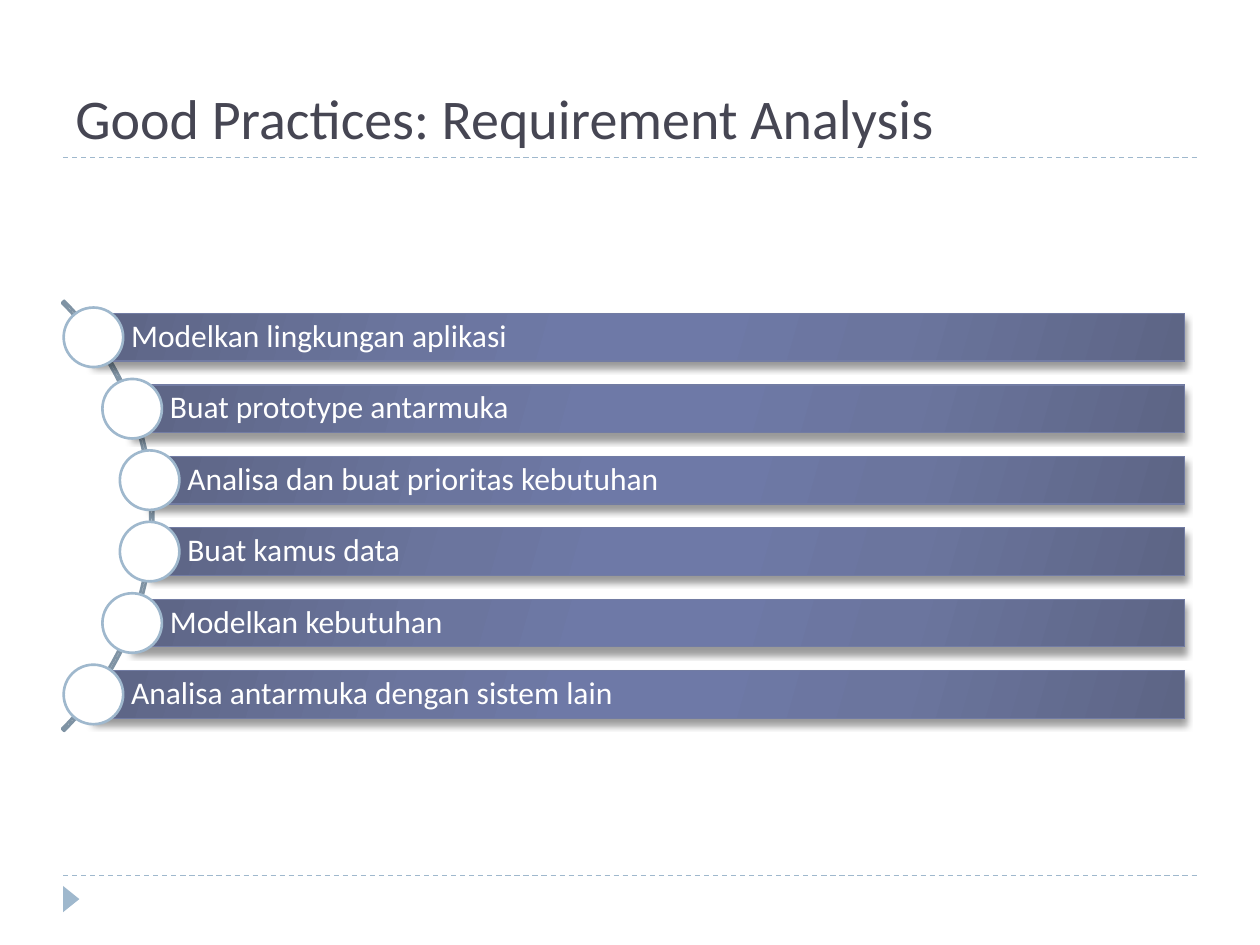
from math import sqrt
from lxml.etree import SubElement
from pptx import Presentation
from pptx.dml.color import RGBColor as Rgb
from pptx.enum.dml import MSO_LINE as Dash
from pptx.enum.shapes import MSO_CONNECTOR as Link, MSO_SHAPE as Kind
from pptx.enum.text import MSO_ANCHOR as Anchor, PP_ALIGN as Align
from pptx.oxml.ns import qn
from pptx.util import Cm, Pt

COLORS = {
    "title": "464653", "text": "FFFFFF", "rule": "9FB8CD", "arc": "7F93A4",
    "edge": "727CA3", "dark": "5D6585", "mid": "6B759E", "light": "6E79A7",
    "shade": "000000",
}
STOPS = [(0, "dark"), (30, "mid"), (45, "light"),
         (55, "light"), (73, "mid"), (100, "dark")]
ITEMS = [
    "Modelkan lingkungan aplikasi",
    "Buat prototype antarmuka",
    "Analisa dan buat prioritas kebutuhan",
    "Buat kamus data",
    "Modelkan kebutuhan",
    "Analisa antarmuka dengan sistem lain",
]


def color(name):
    return Rgb.from_string(COLORS[name])


def node(parent, tag, **attrs):
    return SubElement(parent, qn(tag), {k: str(v) for k, v in attrs.items()})


class Deck:
    font = "Calibri"

    def __init__(self, prs):
        self.slide = prs.slides.add_slide(prs.slide_layouts[6])
        self.shapes = self.slide.shapes

    def label(self, shape, text, size, name, anchor):
        frame = shape.text_frame
        frame.text = text
        frame.word_wrap = True
        frame.vertical_anchor = anchor
        para = frame.paragraphs[0]
        para.alignment = Align.LEFT
        font = para.runs[0].font
        font.name, font.size = self.font, Pt(size)
        font.color.rgb = color(name)
        return frame

    def title(self, text, *box):
        shape = self.shapes.add_textbox(*map(Cm, box))
        self.label(shape, text, 32, "title", Anchor.BOTTOM)

    def rule(self, left, right, y):
        line = self.shapes.add_connector(
            Link.STRAIGHT, Cm(left), Cm(y), Cm(right), Cm(y))
        line.line.color.rgb = color("rule")
        line.line.width = Pt(0.75)
        line.line.dash_style = Dash.DASH
        node(line._element.spPr, "a:effectLst")

    def shape(self, kind, box, fill=None, edge=None, width=1.5):
        shape = self.shapes.add_shape(kind, *map(Cm, box))
        if fill:
            shape.fill.solid()
            shape.fill.fore_color.rgb = color(fill)
        else:
            shape.fill.background()
        if edge:
            shape.line.color.rgb = color(edge)
            shape.line.width = Pt(width)
        else:
            shape.line.fill.background()
        shape.shadow.inherit = False
        return shape

    def bar(self, text, *box):
        shape = self.shape(Kind.RECTANGLE, box, edge="edge", width=0.75)
        # Gradient with six stops
        shape.fill.gradient()
        props = shape._element.spPr
        grad = props.find(qn("a:gradFill"))
        for child in list(grad):
            grad.remove(child)
        stops = node(grad, "a:gsLst")
        for pos, name in STOPS:
            stop = node(stops, "a:gs", pos=pos * 1000)
            node(stop, "a:srgbClr", val=COLORS[name])
        node(grad, "a:lin", ang=16 * 60000, scaled=0)
        # Soft shadow below
        shade = node(props.find(qn("a:effectLst")), "a:outerShdw",
                     blurRad=int(Pt(4)), dist=int(Pt(3.4)), dir=90 * 60000,
                     algn="ctr", rotWithShape=0)
        tint = node(shade, "a:srgbClr", val=COLORS["shade"])
        node(tint, "a:alpha", val=40000)
        # Label
        frame = self.label(shape, text, 18, "text", Anchor.MIDDLE)
        frame.margin_left = Cm(0.76)
        frame.margin_right = frame.margin_top = frame.margin_bottom = Cm(0.13)
        frame.paragraphs[0].line_spacing = 0.9

    def arc(self, x, y, rad):
        shape = self.shape(Kind.BLOCK_ARC, (x - rad, y - rad, 2 * rad, 2 * rad),
                           edge="arc")
        for i, value in enumerate((189, 27, 0.005)):
            shape.adjustments[i] = value

    def dot(self, x, y, size):
        self.shape(Kind.OVAL, (x - size / 2, y - size / 2, size, size),
                   fill="text", edge="rule")


def main():
    prs = Presentation()
    prs.slide_width, prs.slide_height = Cm(25.4), Cm(19.05)
    deck = Deck(prs)

    # Frame of the page
    for y in (17.65, 3.18):
        deck.rule(1.27, 24.13, y)
    mark = deck.shape(Kind.ISOSCELES_TRIANGLE, (1.17, 17.96, 0.53, 0.33),
                      fill="rule")
    mark.rotation = 90
    deck.title("Good Practices: Requirement Analysis", 1.27, 0.43, 22.86, 2.74)

    # Curved list: each bar starts at a dot that sits on the arc
    hub, mid, rad = -3.04, 10.4, 6.1
    pitch, high, right = 1.44, 0.96, 23.88
    deck.arc(hub, mid, rad + 0.03)
    for i, text in enumerate(ITEMS):
        drop = (i - (len(ITEMS) - 1) / 2) * pitch
        x, y = hub + sqrt(rad ** 2 - drop ** 2), mid + drop
        deck.bar(text, x, y - high / 2, right - x, high)
        deck.dot(x, y, 1.2)

    prs.save("out.pptx")


if __name__ == "__main__":
    main()
